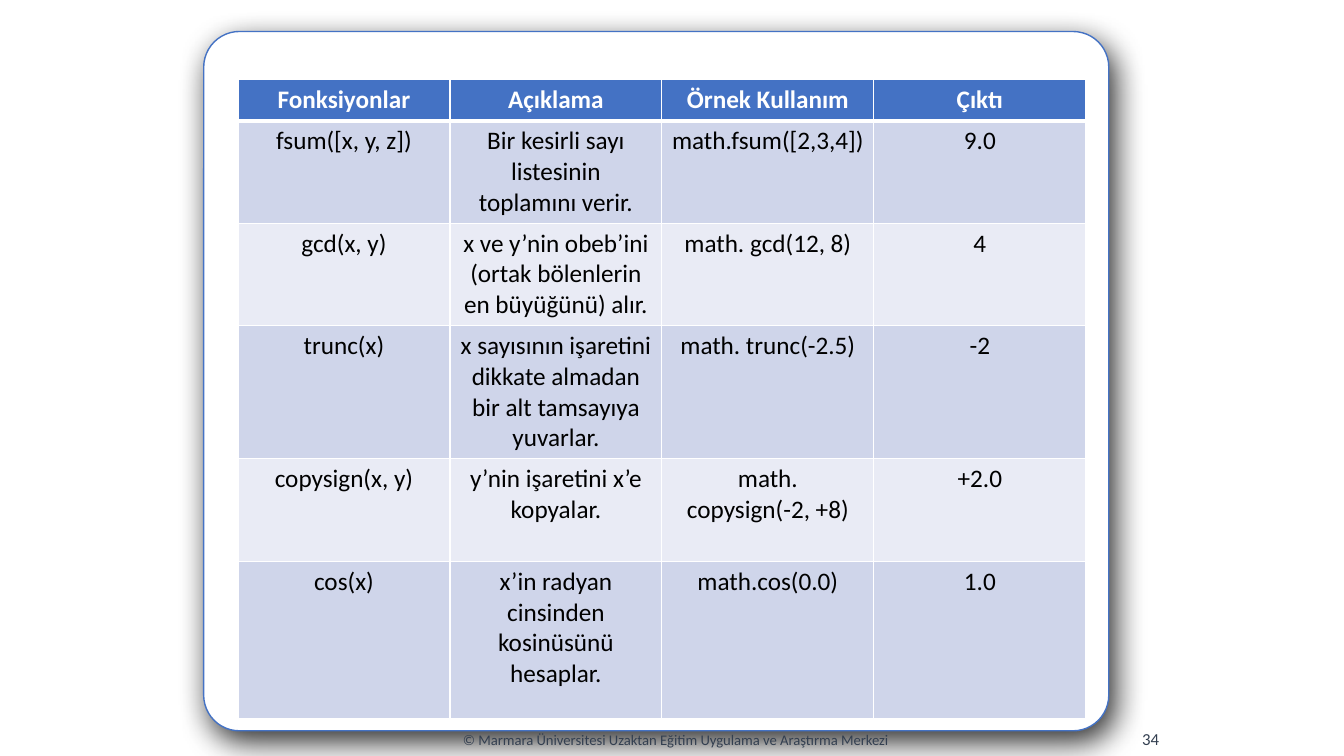
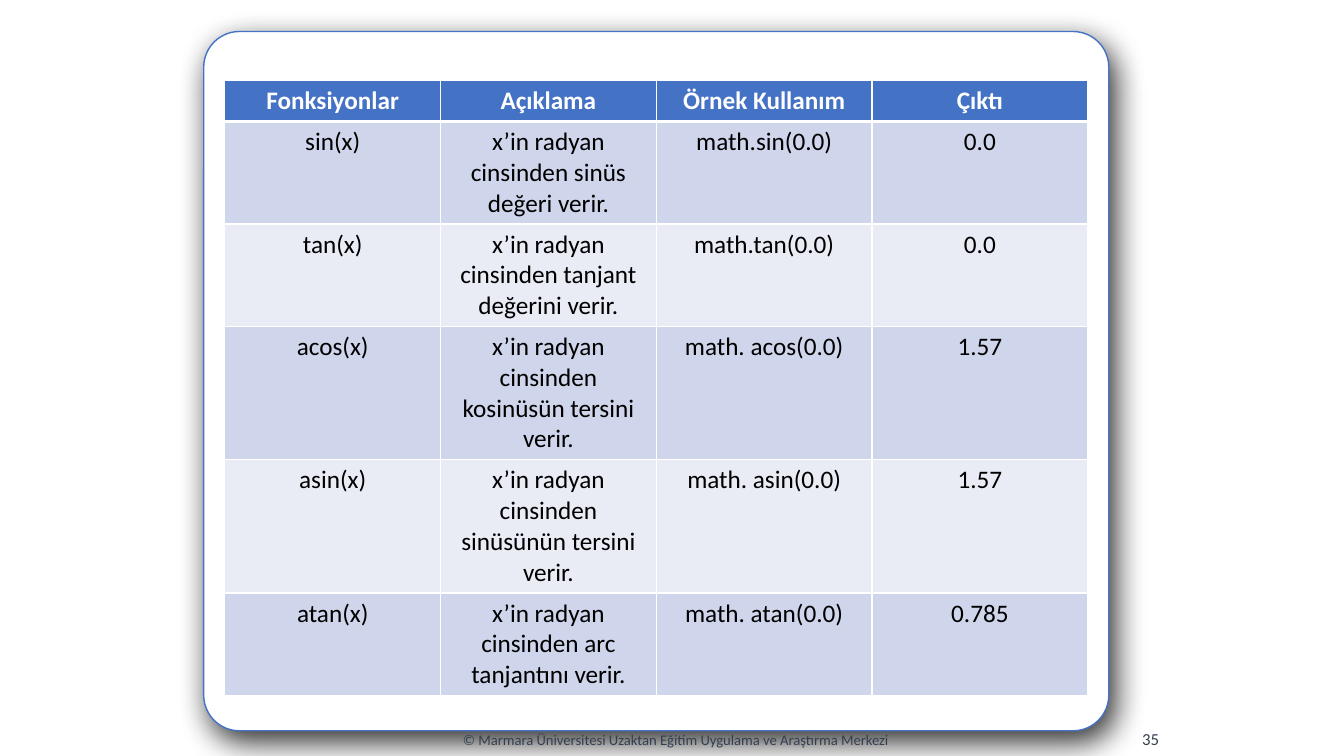
from lxml import etree
from pptx import Presentation
from pptx import util as u
from pptx.dml import color
from pptx.enum import shapes, text
from pptx.oxml import ns

BLUE, WHITE, BLACK, SLATE = "4472C4", "FFFFFF", "000000", "333F50"
BANDS = ("CFD5EA", "E9EBF5")
PANEL = (145.5, 22.5, 646.5, 499.5)
FOOTER = (270, 514, 425.5, 29)
NUMBER = (667.5, 513.5, 167.5, 29)
COPYRIGHT = "© Marmara Üniversitesi Uzaktan Eğitim Uygulama ve Araştırma Merkezi"
HEADINGS = ("Fonksiyonlar", "Açıklama", "Örnek Kullanım", "Çıktı")
HEADING_STYLE = {"name": "Calibri", "size": u.Pt(18), "bold": True}
BODY_STYLE = {**HEADING_STYLE, "bold": False}
FOOTER_STYLE = {"name": "Calibri", "size": u.Pt(10.5)}
NUMBER_STYLE = {"name": "Calibri", "size": u.Pt(12)}

PAGES = [
    {
        "number": "34",
        "origin": (170, 57),
        "width": 605.6,
        "heights": (29.2, 73.2, 73.2, 95.2, 73.2, 112.6),
        "rows": [
            ("fsum([x, y, z])", "Bir kesirli sayı listesinin toplamını verir.",
             "math.fsum([2,3,4])", "9.0"),
            ("gcd(x, y)", "x ve y’nin obeb’ini (ortak bölenlerin en büyüğünü) alır.",
             "math. gcd(12, 8)", "4"),
            ("trunc(x)", "x sayısının işaretini dikkate almadan bir alt tamsayıya yuvarlar.",
             "math. trunc(-2.5)", "-2"),
            ("copysign(x, y)", "y’nin işaretini x’e kopyalar.",
             "math.\ncopysign(-2, +8)", "+2.0"),
            ("cos(x)", "x’in radyan cinsinden kosinüsünü hesaplar.",
             "math.cos(0.0)", "1.0"),
        ],
    },
    {
        "number": "35",
        "origin": (160.6, 57.6),
        "width": 616.4,
        "heights": (29.2, 73.2, 73.2, 95.2, 95.2, 73.2),
        "rows": [
            ("sin(x)", "x’in radyan cinsinden sinüs değeri verir.", "math.sin(0.0)", "0.0"),
            ("tan(x)", "x’in radyan cinsinden tanjant değerini verir.", "math.tan(0.0)", "0.0"),
            ("acos(x)", "x’in radyan cinsinden kosinüsün tersini verir.",
             "math. acos(0.0)", "1.57"),
            ("asin(x)", "x’in radyan cinsinden sinüsünün tersini verir.",
             "math. asin(0.0)", "1.57"),
            ("atan(x)", "x’in radyan cinsinden arc tanjantını verir.",
             "math. atan(0.0)", "0.785"),
        ],
    },
]


def paint(target, hex_color):
    target.rgb = color.RGBColor.from_string(hex_color)


def fill_solid(fill, hex_color):
    fill.solid()
    paint(fill.fore_color, hex_color)


def points(values):
    return [u.Pt(value) for value in values]


def write(frame, words, style, hex_color, align):
    frame.text = words
    for para in frame.paragraphs:
        para.alignment = align
        for key, value in style.items():
            setattr(para.font, key, value)
        paint(para.font.color, hex_color)


def add_color(parent, hex_color):
    return etree.SubElement(parent, ns.qn("a:srgbClr"), val=hex_color)


def add_panel(page, area):
    panel = page.shapes.add_shape(shapes.MSO_SHAPE.ROUNDED_RECTANGLE, *points(area))
    panel.adjustments[0] = 0.051
    fill_solid(panel.fill, WHITE)
    paint(panel.line.color, BLUE)
    panel.line.width = u.Pt(1)
    panel.shadow.inherit = False
    effects = panel._element.spPr.find(ns.qn("a:effectLst"))
    shadow = etree.SubElement(
        effects, ns.qn("a:outerShdw"), blurRad=str(u.Pt(23)), dist=str(u.Pt(9)),
        dir=str(64 * 60000), algn="tl", rotWithShape="0")
    etree.SubElement(add_color(shadow, BLACK), ns.qn("a:alpha"), val="81000")


def add_label(page, area, words, style, align):
    box = page.shapes.add_textbox(*points(area))
    frame = box.text_frame
    frame.word_wrap = True
    frame.vertical_anchor = text.MSO_ANCHOR.MIDDLE
    write(frame, words, style, SLATE, align)


def add_borders(cell, top, bottom):
    properties = cell._tc.get_or_add_tcPr()
    for tag, width in {"lnL": 1, "lnR": 1, "lnT": top, "lnB": bottom}.items():
        border = etree.SubElement(properties, ns.qn(f"a:{tag}"), w=str(u.Pt(width)))
        add_color(etree.SubElement(border, ns.qn("a:solidFill")), WHITE)


def add_function_table(page, origin, width, heights, rows):
    area = points((*origin, width, sum(heights)))
    table = page.shapes.add_table(len(heights), len(HEADINGS), *area).table
    for column in table.columns:
        column.width = u.Pt(width / len(HEADINGS))
    for index, (height, entries) in enumerate(zip(heights, [HEADINGS, *rows])):
        table.rows[index].height = u.Pt(height)
        heading = index == 0
        style, ink, back = (
            (HEADING_STYLE, WHITE, BLUE) if heading
            else (BODY_STYLE, BLACK, BANDS[(index - 1) % 2]))
        for cell, words in zip(table.rows[index].cells, entries):
            add_borders(cell, 3 if index == 1 else 1, 3 if heading else 1)
            fill_solid(cell.fill, back)
            write(cell.text_frame, words, style, ink, text.PP_ALIGN.CENTER)


def add_page(deck, number, **table):
    page = deck.slides.add_slide(deck.slide_layouts[6])
    add_panel(page, PANEL)
    add_label(page, FOOTER, COPYRIGHT, FOOTER_STYLE, text.PP_ALIGN.CENTER)
    add_label(page, NUMBER, number, NUMBER_STYLE, text.PP_ALIGN.RIGHT)
    add_function_table(page, **table)


def main():
    deck = Presentation()
    deck.slide_width, deck.slide_height = points((960, 540))
    for content in PAGES:
        add_page(deck, **content)
    deck.save("out.pptx")


if __name__ == "__main__":
    main()
